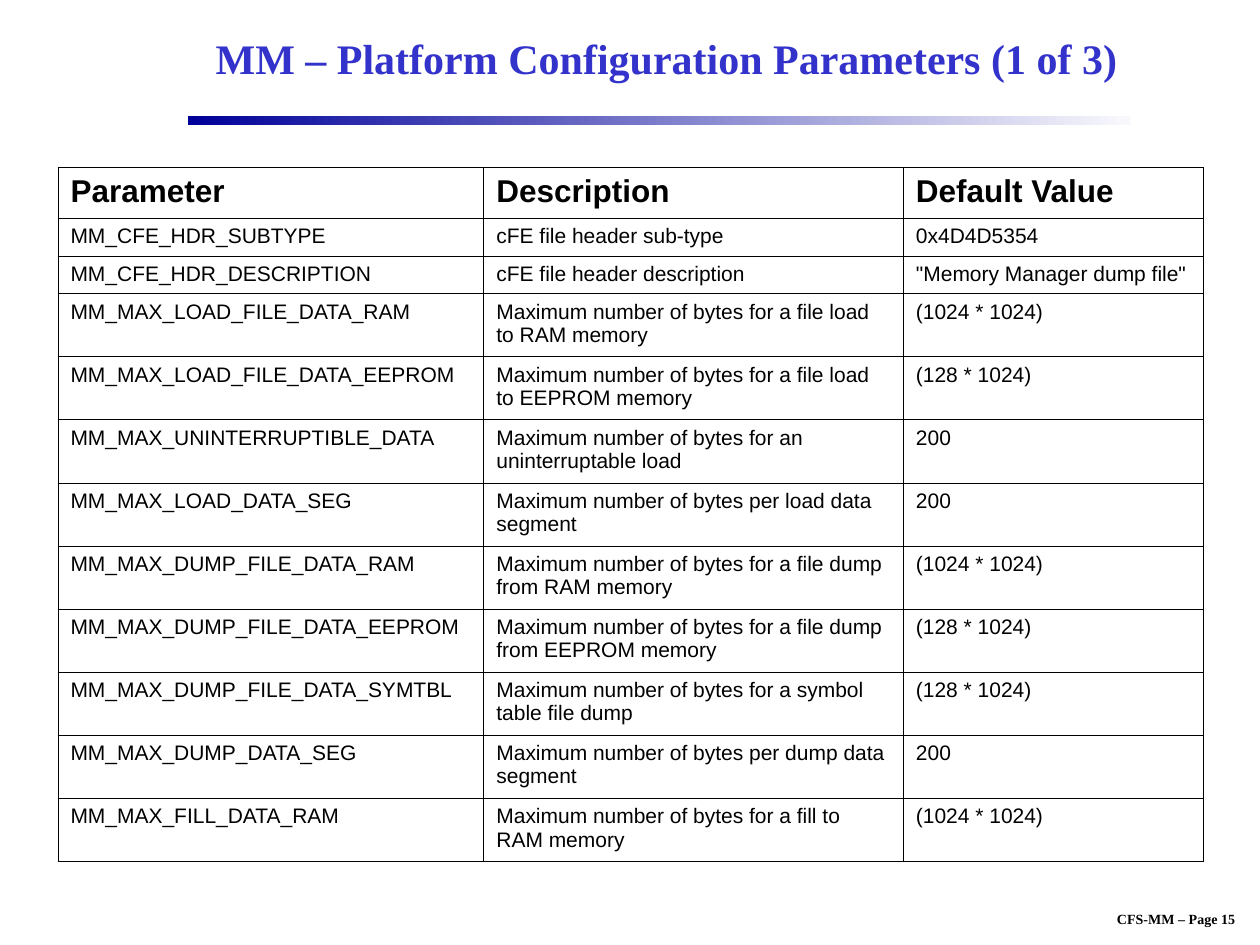
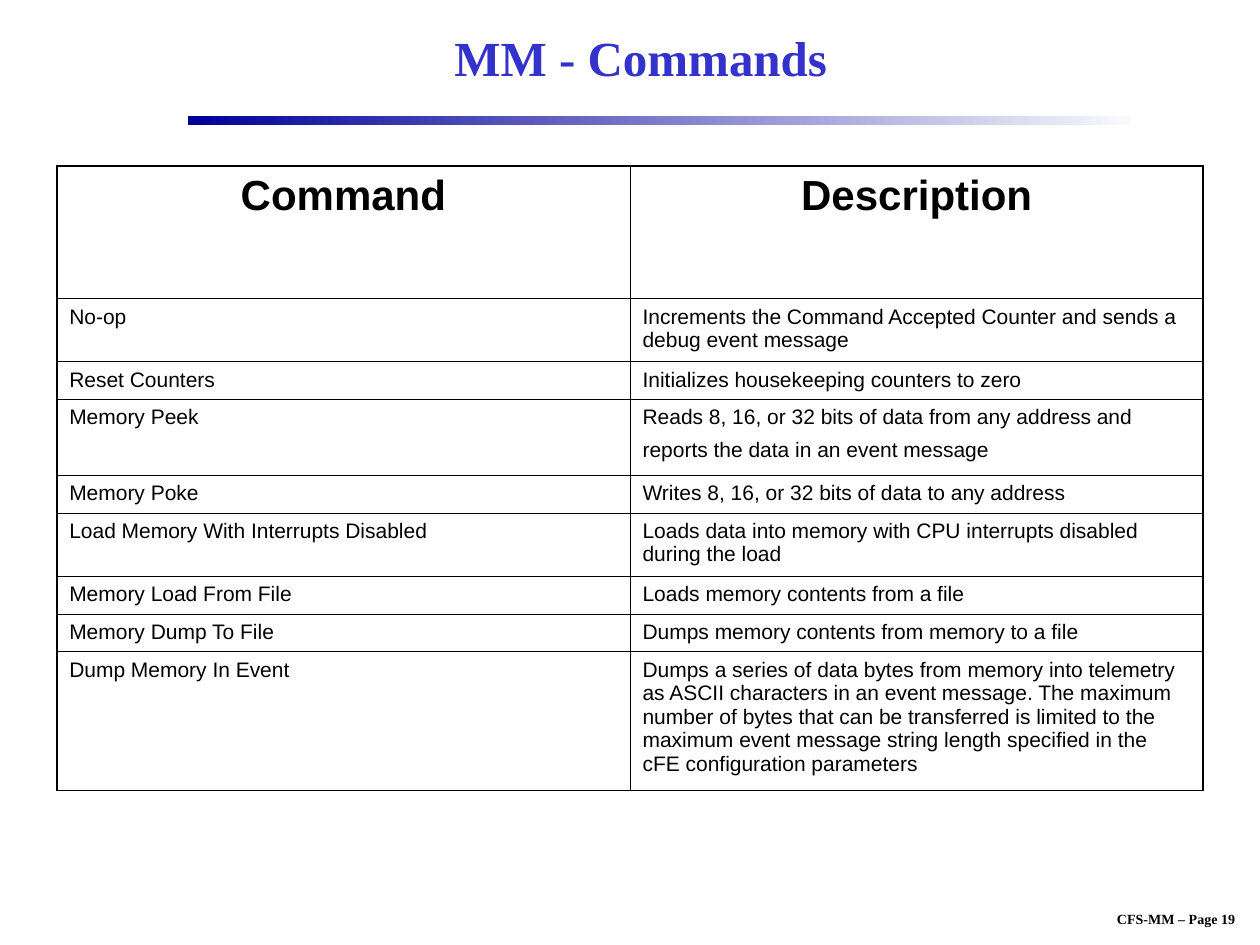
from dataclasses import dataclass

import pptx
import pptx.dml.color
import pptx.enum.shapes
import pptx.enum.text
import pptx.oxml.ns
import pptx.util
from lxml import etree

ALIGN = pptx.enum.text.PP_ALIGN
ANCHOR = pptx.enum.text.MSO_ANCHOR


@dataclass(frozen=True)
class Theme:
    serif: str = "Times New Roman"
    sans: str = "Arial"
    ink: str = "000000"
    title: str = "3333CC"
    band_start: str = "000099"
    band_end: str = "F9F9FD"
    footer_size: float = 8
    body_size: float = 12
    thin: float = 0.45
    thick: float = 1.08


@dataclass(frozen=True)
class Box:
    """Place on a grid of 100 columns by 75 rows."""
    col: float
    row: float
    cols: float
    rows: float


@dataclass(frozen=True)
class TableSpec:
    col: float
    row: float
    col_widths: tuple[float, ...]
    row_heights: tuple[float, ...]
    rows: tuple[tuple[str, ...], ...]
    head_size: float
    head_align: ALIGN = ALIGN.LEFT
    head_gap: float = 0
    body_gap: float = 0
    frame: float = 0.45


@dataclass(frozen=True)
class Page:
    number: int
    title: str
    title_size: float
    title_cols: float
    table: TableSpec


THEME = Theme()
GRID_COLS, GRID_ROWS = 100, 75
BAND = Box(14.9, 9.2, 74.9, 0.7)
FOOTER = Box(85.7, 71.8, 15.3, 2.3)

prs = pptx.Presentation()
prs.slide_width = pptx.util.Inches(10)
prs.slide_height = pptx.util.Inches(7.5)


# Grid and text helpers
def across(cols: float) -> int:
    return round(prs.slide_width * cols / GRID_COLS)


def down(rows: float) -> int:
    return round(prs.slide_height * rows / GRID_ROWS)


def place(box: Box) -> tuple[int, int, int, int]:
    return across(box.col), down(box.row), across(box.cols), down(box.rows)


def rgb(color: str) -> pptx.dml.color.RGBColor:
    return pptx.dml.color.RGBColor.from_string(color)


def write(p, text: str, *, size: float, font: str = THEME.sans, color: str = THEME.ink,
          bold: bool = False, align: ALIGN = ALIGN.LEFT, gap: float = 0) -> None:
    """Add a formatted run to a paragraph and set the paragraph's format."""
    p.alignment = align
    p.space_before = pptx.util.Pt(gap)
    r = p.add_run()
    r.text = text
    r.font.size = pptx.util.Pt(size)
    r.font.name = font
    r.font.bold = bold
    r.font.color.rgb = rgb(color)


# Parts shared by the slides
def add_title(s, page: Page) -> None:
    sp = s.shapes.title
    sp.left, sp.top, sp.width, sp.height = place(Box(15, 0.8, page.title_cols, 7.5))
    tf = sp.text_frame
    tf.vertical_anchor = ANCHOR.MIDDLE
    write(tf.paragraphs[0], page.title, size=page.title_size, font=THEME.serif,
          color=THEME.title, bold=True, align=ALIGN.CENTER)


def add_band(s) -> None:
    sp = s.shapes.add_shape(pptx.enum.shapes.MSO_SHAPE.RECTANGLE, *place(BAND))
    sp.shadow.inherit = False
    sp.line.fill.background()
    sp.fill.gradient()
    sp.fill.gradient_angle = 0
    for stop, color in zip(sp.fill.gradient_stops, (THEME.band_start, THEME.band_end)):
        stop.color.rgb = rgb(color)


def add_footer(s, number: int) -> None:
    tf = s.shapes.add_textbox(*place(FOOTER)).text_frame
    tf.word_wrap = False
    write(tf.paragraphs[0], f"CFS-MM – Page {number}", size=THEME.footer_size,
          font=THEME.serif, bold=True, align=ALIGN.CENTER)


# Tables
def set_borders(cell, widths: dict[str, float]) -> None:
    tc_pr = cell._tc.get_or_add_tcPr()
    qn = pptx.oxml.ns.qn
    for side, width in widths.items():
        ln = etree.SubElement(tc_pr, qn(f"a:ln{side}"), w=str(pptx.util.Pt(width)))
        fill = etree.SubElement(ln, qn("a:solidFill"))
        etree.SubElement(fill, qn("a:srgbClr"), val=THEME.ink)


def add_table(s, spec: TableSpec):
    n_rows, n_cols = len(spec.rows), len(spec.col_widths)
    box = Box(spec.col, spec.row, sum(spec.col_widths), sum(spec.row_heights))
    table = s.shapes.add_table(n_rows, n_cols, *place(box)).table
    table.first_row = table.horz_banding = False
    for column, width in zip(table.columns, spec.col_widths):
        column.width = across(width)
    for i, (row, height) in enumerate(zip(spec.rows, spec.row_heights)):
        table.rows[i].height = down(height)
        head = i == 0
        for j, text in enumerate(row):
            cell = table.cell(i, j)
            on_frame = {"L": j == 0, "R": j == n_cols - 1, "T": head, "B": i == n_rows - 1}
            set_borders(cell, {side: spec.frame if outer else THEME.thin
                               for side, outer in on_frame.items()})
            cell.fill.background()
            write(cell.text_frame.paragraphs[0], text, bold=head,
                  size=spec.head_size if head else THEME.body_size,
                  align=spec.head_align if head else ALIGN.LEFT,
                  gap=spec.head_gap if head else spec.body_gap)
    return table


def add_page(page: Page):
    s = prs.slides.add_slide(prs.slide_layouts.get_by_name("Title Only"))
    add_band(s)
    add_footer(s, page.number)
    add_title(s, page)
    return add_table(s, page.table)


# Content
PARAMETERS = Page(
    15, "MM – Platform Configuration Parameters (1 of 3)", 24, 75.8,
    TableSpec(
        col=4.6, row=13.3, col_widths=(33.8, 33.3, 23.8),
        row_heights=(4, 3, 3) + (5,) * 9, head_size=18,
        rows=(
            ("Parameter", "Description", "Default Value"),
            ("MM_CFE_HDR_SUBTYPE", "cFE file header sub-type", "0x4D4D5354"),
            ("MM_CFE_HDR_DESCRIPTION", "cFE file header description",
             '"Memory Manager dump file"'),
            ("MM_MAX_LOAD_FILE_DATA_RAM",
             "Maximum number of bytes for a file load to RAM memory", "(1024 * 1024)"),
            ("MM_MAX_LOAD_FILE_DATA_EEPROM",
             "Maximum number of bytes for a file load to EEPROM memory", "(128 * 1024)"),
            ("MM_MAX_UNINTERRUPTIBLE_DATA",
             "Maximum number of bytes for an uninterruptable load", "200"),
            ("MM_MAX_LOAD_DATA_SEG",
             "Maximum number of bytes per load data segment", "200"),
            ("MM_MAX_DUMP_FILE_DATA_RAM",
             "Maximum number of bytes for a file dump from RAM memory", "(1024 * 1024)"),
            ("MM_MAX_DUMP_FILE_DATA_EEPROM",
             "Maximum number of bytes for a file dump from EEPROM memory", "(128 * 1024)"),
            ("MM_MAX_DUMP_FILE_DATA_SYMTBL",
             "Maximum number of bytes for a symbol table file dump", "(128 * 1024)"),
            ("MM_MAX_DUMP_DATA_SEG",
             "Maximum number of bytes per dump data segment", "200"),
            ("MM_MAX_FILL_DATA_RAM",
             "Maximum number of bytes for a fill to RAM memory", "(1024 * 1024)"),
        )))

COMMANDS = Page(
    19, "MM - Commands", 28, 71.7,
    TableSpec(
        col=4.5, row=13.2, col_widths=(45.5, 45.5),
        row_heights=(10.5, 5, 3, 6, 3, 5, 3, 3, 11), head_size=24,
        head_align=ALIGN.CENTER, head_gap=10.5, body_gap=5.2, frame=THEME.thick,
        rows=(
            ("Command", "Description"),
            ("No-op",
             "Increments the Command Accepted Counter and sends a debug event message"),
            ("Reset Counters", "Initializes housekeeping counters to zero"),
            ("Memory Peek", "Reads 8, 16, or 32 bits of data from any address and "
                            "reports the data in an event message"),
            ("Memory Poke", "Writes 8, 16, or 32 bits of data to any address"),
            ("Load Memory With Interrupts Disabled",
             "Loads data into memory with CPU interrupts disabled during the load"),
            ("Memory Load From File", "Loads memory contents from a file"),
            ("Memory Dump To File", "Dumps memory contents from memory to a file"),
            ("Dump Memory In Event",
             "Dumps a series of data bytes from memory into telemetry as ASCII characters "
             "in an event message. The maximum number of bytes that can be transferred is "
             "limited to the maximum event message string length specified in the cFE "
             "configuration parameters"),
        )))


def main() -> None:
    add_page(PARAMETERS)
    commands = add_page(COMMANDS)
    # A larger closing space opens up the last line of the Memory Peek description
    peek = commands.cell(3, 1).text_frame.paragraphs[0]
    write(peek, " ", size=18, bold=True, gap=7.9)
    prs.save("out.pptx")


if __name__ == "__main__":
    main()
